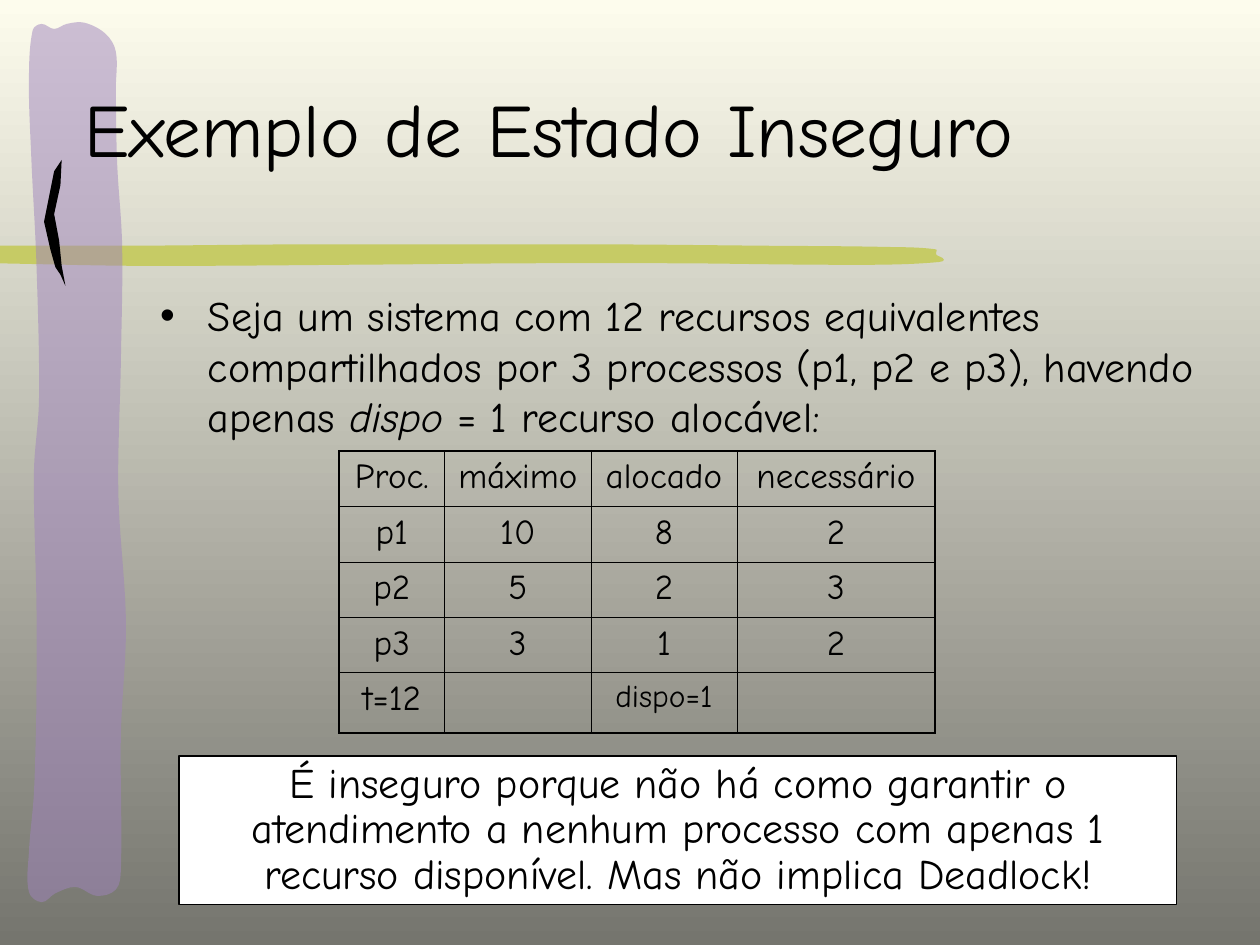
from dataclasses import dataclass
from math import dist

from lxml import etree
from pptx import Presentation
from pptx.dml.color import RGBColor
from pptx.enum.shapes import MSO_SHAPE
from pptx.enum.text import MSO_ANCHOR, MSO_AUTO_SIZE, PP_ALIGN
from pptx.oxml.ns import qn
from pptx.util import Inches, Pt

LEFT, CENTER = PP_ALIGN.LEFT, PP_ALIGN.CENTER
TOP, MIDDLE = MSO_ANCHOR.TOP, MSO_ANCHOR.MIDDLE
FIXED = MSO_AUTO_SIZE.NONE
RECT = MSO_SHAPE.RECTANGLE

FONT = "Comic Neue"
BLACK = RGBColor(0x00, 0x00, 0x00)
WHITE = RGBColor(0xFF, 0xFF, 0xFF)
CREAM = RGBColor(0xFD, 0xFC, 0xED)
GRAY = RGBColor(0x75, 0x75, 0x6E)
OLIVE = RGBColor(0xC6, 0xCB, 0x65)
PURPLE = RGBColor(0x9F, 0x83, 0xBD)

Point = tuple[float, float]


@dataclass
class Stroke:
    points: list[Point]
    color: RGBColor
    alpha: int = 100
    curved: bool = True


STROKES = [
    Stroke([(-0.03, 1.95), (1.11, 1.95), (2.32, 1.94), (3.91, 1.94), (4.89, 1.94),
            (6.01, 1.95), (7.02, 1.96), (7.43, 1.98), (7.43, 2.02), (7.49, 2.06),
            (7.45, 2.08), (7.06, 2.1), (6.35, 2.1), (5.41, 2.09), (4.14, 2.09),
            (2.98, 2.1), (1.11, 2.11), (-0.02, 2.09)], OLIVE),
    Stroke([(0.29, 5.61), (0.29, 4.81), (0.27, 3.75), (0.31, 3.17), (0.29, 2.1),
            (0.25, 1.27), (0.23, 0.65), (0.26, 0.24), (0.33, 0.19), (0.43, 0.23),
            (0.53, 0.19), (0.67, 0.18), (0.84, 0.27), (0.92, 0.41), (0.92, 0.71),
            (0.93, 1.29), (0.97, 1.95), (0.96, 2.86), (0.94, 3.91), (1, 4.95),
            (0.96, 5.83), (0.96, 6.9), (0.92, 7.06), (0.77, 7.11), (0.6, 7.04),
            (0.44, 7.09), (0.33, 7.16), (0.23, 7.08), (0.23, 6.76), (0.27, 6.29),
            (0.29, 5.61)], PURPLE, alpha=50),
    Stroke([(0.49, 1.27), (0.48, 1.47), (0.43, 1.7), (0.47, 1.91), (0.49, 2.11),
            (0.52, 2.27), (0.48, 2.18), (0.44, 2.12), (0.4, 1.98), (0.35, 1.76),
            (0.39, 1.56), (0.43, 1.36)], BLACK, curved=False),
]

ROWS = [
    ["Proc.", "máximo", "alocado", "necessário"],
    ["p1", "10", "8", "2"],
    ["p2", "5", "2", "3"],
    ["p3", "3", "1", "2"],
    ["t=12", "", "dispo=1", ""],
]
WIDTHS = [0.84, 1.16, 1.16, 1.57]
HEIGHTS = [0.44] * 4 + [0.48]
THIN, THICK = 0.45, 1.08


def bend(shape) -> None:
    """Turn the straight segments of an outline into smooth Bezier curves."""
    outline = shape._element.find(".//" + qn("a:path"))
    lines = outline.findall(qn("a:lnTo"))
    nodes = [outline.find(qn("a:moveTo"))] + lines
    points = [(int(n[0].get("x")), int(n[0].get("y"))) for n in nodes]
    last = len(points) - 1

    def slope(i: int) -> Point:
        a, b = points[max(i - 1, 0)], points[min(i + 1, last)]
        span = dist(a, b)
        return (b[0] - a[0]) / span, (b[1] - a[1]) / span

    for i, line in enumerate(lines):
        a, b = points[i], points[i + 1]
        reach = dist(a, b) / 3
        out, into = slope(i), slope(i + 1)
        curve = etree.Element(qn("a:cubicBezTo"))
        for x, y in ((a[0] + reach * out[0], a[1] + reach * out[1]),
                     (b[0] - reach * into[0], b[1] - reach * into[1]), b):
            etree.SubElement(curve, qn("a:pt"), x=str(round(x)), y=str(round(y)))
        outline.replace(line, curve)


def draw_stroke(slide, stroke: Stroke, level: int) -> None:
    """Draw a brush stroke below the placeholders."""
    path = [(Inches(x), Inches(y)) for x, y in stroke.points]
    pen = slide.shapes.build_freeform(*path[0])
    pen.add_line_segments(path[1:], close=path[0] != path[-1])
    shape = pen.convert_to_shape()
    if stroke.curved:
        bend(shape)
    shape.shadow.inherit = False
    shape.fill.solid()
    shape.fill.fore_color.rgb = stroke.color
    shape.line.fill.background()
    if stroke.alpha < 100:
        color = shape._element.spPr.find(qn("a:solidFill"))[0]
        etree.SubElement(color, qn("a:alpha"), val=str(stroke.alpha * 1000))
    slide.shapes._spTree.insert(2 + level, shape._element)


def place(shape, left: float, top: float, width: float, height: float) -> None:
    shape.left, shape.top = Inches(left), Inches(top)
    shape.width, shape.height = Inches(width), Inches(height)


def set_frame(frame, anchor) -> None:
    frame.word_wrap = True
    frame.auto_size = FIXED
    frame.vertical_anchor = anchor


def add_run(para, text: str, size: float, italic: bool = False) -> None:
    run = para.add_run()
    run.text = text
    font = run.font
    font.name, font.size, font.italic = FONT, Pt(size), italic
    font.color.rgb = BLACK


def add_bullet(para) -> None:
    props = para._p.get_or_add_pPr()
    props.set("marL", str(Inches(0.38)))
    props.set("indent", str(Inches(-0.38)))
    color = etree.SubElement(props, qn("a:buClr"))
    etree.SubElement(color, qn("a:srgbClr"), val=str(BLACK))
    etree.SubElement(props, qn("a:buFont"), typeface="Arial")
    etree.SubElement(props, qn("a:buChar"), char="•")


def set_border(cell, side: str, width: float) -> None:
    props = cell._tc.get_or_add_tcPr()
    line = etree.SubElement(props, qn(f"a:{side}"), w=str(Pt(width)))
    fill = etree.SubElement(line, qn("a:solidFill"))
    etree.SubElement(fill, qn("a:srgbClr"), val=str(BLACK))


def draw_table(slide) -> None:
    rows, cols = len(ROWS), len(WIDTHS)
    table = slide.shapes.add_table(
        rows, cols, Inches(2.69), Inches(3.58),
        Inches(sum(WIDTHS)), Inches(sum(HEIGHTS))).table
    table.first_row = table.horz_banding = False
    for col, width in zip(table.columns, WIDTHS):
        col.width = Inches(width)
    for r, texts in enumerate(ROWS):
        table.rows[r].height = Inches(HEIGHTS[r])
        for c, text in enumerate(texts):
            cell = table.cell(r, c)
            edges = {"lnL": c == 0, "lnR": c == cols - 1,
                     "lnT": r == 0, "lnB": r == rows - 1}
            for side, outer in edges.items():
                set_border(cell, side, THICK if outer else THIN)
            cell.fill.background()
            if text:
                para = cell.text_frame.paragraphs[0]
                para.alignment = CENTER
                add_run(para, text, 18 if text == "dispo=1" else 20)


def draw_note(slide) -> None:
    box = slide.shapes.add_shape(RECT, 0, 0, 0, 0)
    place(box, 1.42, 6, 7.92, 1.18)
    box.shadow.inherit = False
    box.fill.solid()
    box.fill.fore_color.rgb = WHITE
    box.line.color.rgb = BLACK
    box.line.width = Pt(0.75)
    set_frame(box.text_frame, TOP)
    para = box.text_frame.paragraphs[0]
    para.alignment, para.line_spacing = CENTER, 0.9
    add_run(para, "É inseguro porque não há como garantir o atendimento a nenhum "
            "processo com apenas 1 recurso disponível. Mas não implica Deadlock!", 24)


def main() -> None:
    deck = Presentation()
    deck.slide_width, deck.slide_height = Inches(10), Inches(7.5)
    slide = deck.slides.add_slide(deck.slide_layouts[1])
    back = slide.background.fill
    back.gradient()
    back.gradient_angle = 270
    for stop, color, spot in zip(back.gradient_stops, (CREAM, GRAY), (0, 1)):
        stop.color.rgb, stop.position = color, spot
    for level, stroke in enumerate(STROKES):
        draw_stroke(slide, stroke, level)

    title, body = slide.shapes.title, slide.placeholders[1]
    place(title, 0.57, 0.6, 9.4, 0.82)
    set_frame(title.text_frame, MIDDLE)
    para = title.text_frame.paragraphs[0]
    para.alignment = LEFT
    add_run(para, "Exemplo de Estado Inseguro", 43)

    place(body, 1.17, 2.25, 8.5, 1.33)
    set_frame(body.text_frame, TOP)
    para = body.text_frame.paragraphs[0]
    para.space_before = Pt(0)
    add_bullet(para)
    add_run(para, "Seja um sistema com 12 recursos equivalentes compartilhados "
            "por 3 processos (p1, p2 e p3), havendo apenas ", 24)
    add_run(para, "dispo", 24, italic=True)
    add_run(para, " = 1 recurso alocável:", 24)

    draw_table(slide)
    draw_note(slide)
    deck.save("out.pptx")


if __name__ == "__main__":
    main()
